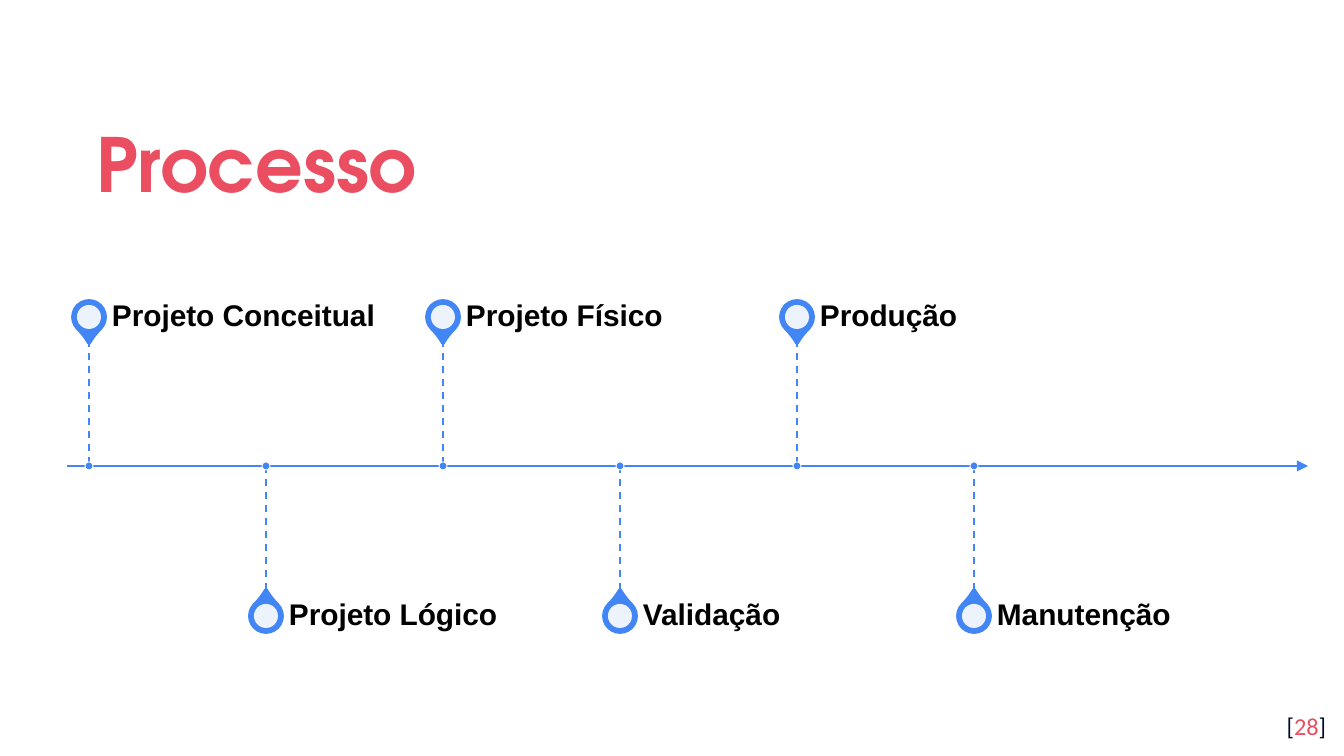
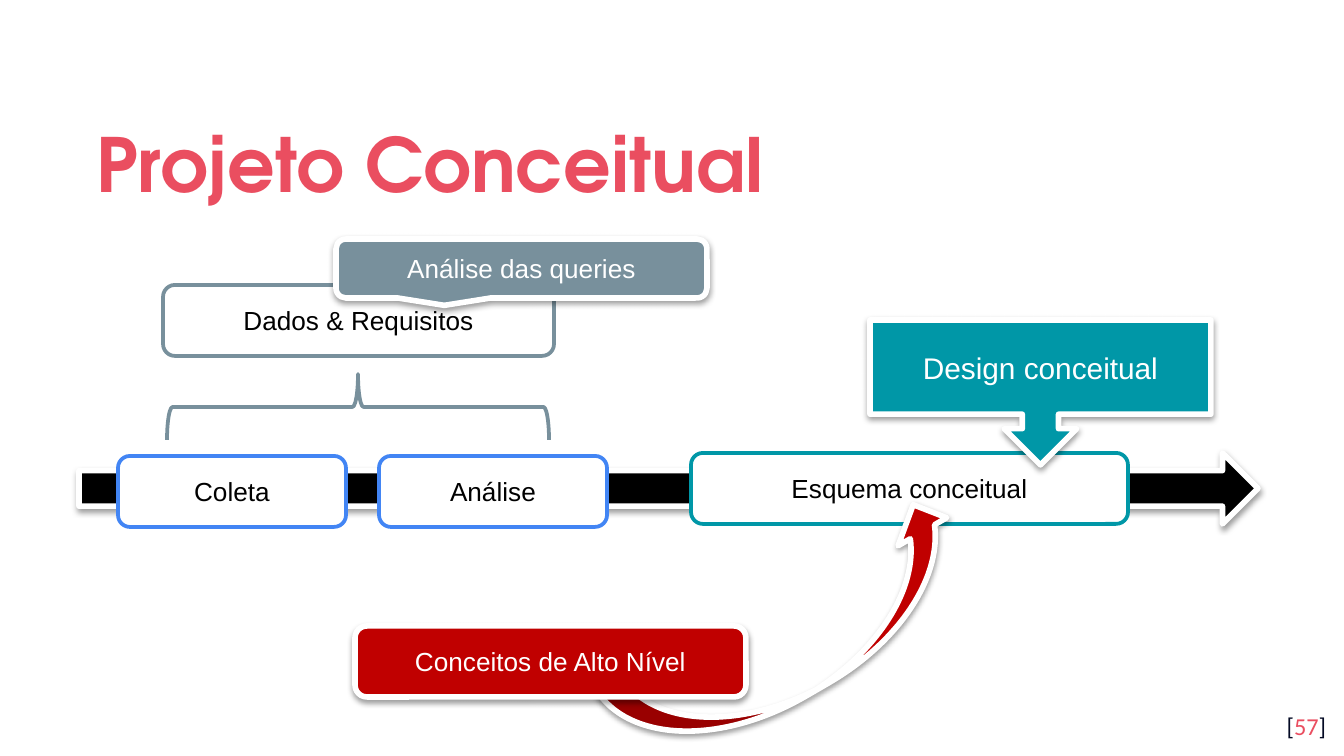
from lxml import etree
from pptx import Presentation
from pptx import util as u
from pptx.dml.color import RGBColor
from pptx.enum import dml, shapes, text
from pptx.oxml.ns import qn

SCALE = 914400 / 134.4  # EMU in one px
RED, INK, BLUE, GREY, TEAL, WINE = "EA4E60", "040A24", "4285F4", "78909C", "0097A7", "C00000"
BLACK, WHITE = "000000", "FFFFFF"
HEAD, BODY, FOOT = "TeX Gyre Adventor", "Arial", "Calibri"
KIND = shapes.MSO_SHAPE
MID = text.MSO_ANCHOR.MIDDLE


# Basic helpers
def px(*vals):
    return [u.Emu(round(v * SCALE)) for v in vals]


def rgb(code):
    return RGBColor.from_string(code)


def put(obj, vals):
    for name, val in vals.items():
        setattr(obj, name, val)


def sub(node, tag, **attrs):
    return etree.SubElement(node, qn(tag), {k: str(v) for k, v in attrs.items()})


def write(par, words, size, font, color, bold=False):
    run = par.add_run()
    run.text = words
    put(run.font, dict(size=u.Pt(size), name=font, bold=bold))
    run.font.color.rgb = rgb(color)


def frame(shape, pads, **vals):
    names = ("margin_left", "margin_top", "margin_right", "margin_bottom")
    put(shape.text_frame, dict(zip(names, px(*pads)), word_wrap=True,
                               auto_size=text.MSO_AUTO_SIZE.NONE, **vals))
    return shape.text_frame.paragraphs[0]


def add(tree, kind, box, fill, line=None, width=2, adj=(), turn=0):
    shape = tree.add_shape(kind, *px(*box))
    shape.shadow.inherit = False
    shape.rotation = turn
    for i, val in enumerate(adj):
        shape.adjustments[i] = val
    shape.fill.solid()
    shape.fill.fore_color.rgb = rgb(fill)
    if line:
        shape.line.color.rgb = rgb(line)
        shape.line.width = u.Pt(width)
    else:
        shape.line.fill.background()
    return shape


def rule(tree, ends, width, dash=None, arrow=False):
    line = tree.add_connector(shapes.MSO_CONNECTOR.STRAIGHT, *px(*ends))
    line.line.color.rgb = rgb(BLUE)
    put(line.line, dict(width=u.Pt(width), dash_style=dash))
    props = line._element.spPr
    if arrow:
        sub(props.find(qn("a:ln")), "a:tailEnd", type="triangle")
    sub(props, "a:effectLst")


# Shared slide parts: title and page number
def page(deck, title, num):
    slide = deck.slides.add_slide(deck.slide_layouts[5])
    head = slide.shapes.title
    put(head, dict(zip(("left", "top", "width", "height"), px(83, 94, 1179, 124))))
    par = frame(head, [13] * 4, vertical_anchor=MID)
    put(par, dict(alignment=text.PP_ALIGN.LEFT, line_spacing=1.15))
    write(par, title, 40, HEAD, RED, True)

    foot = slide.shapes.add_textbox(*px(1258, 698, 81, 58))
    par = frame(foot, [13] * 4)
    par.alignment = text.PP_ALIGN.RIGHT
    for words, color in (("[", INK), (num, RED), ("]", INK)):
        write(par, words, 13, FOOT, color)
    return slide


# Timeline: pins alternate above and below the axis
def stop(tree, x, y, axis, label):
    up = y < axis
    add(tree, KIND.TEAR, (x - 16, y - 16, 32, 32), BLUE, BLUE,
        adj=[1.15], turn=135 if up else 315)
    hole = add(tree, KIND.OVAL, (x - 12, y - 12, 24, 24), WHITE)
    sub(hole._element.spPr.find(".//" + qn("a:srgbClr")), "a:alpha", val=90000)
    note = tree.add_textbox(*px(x + 23, y - 22, 294, 44))
    par = frame(note, (0, 0, 15, 0), vertical_anchor=MID)
    par.line_spacing = 0.9
    write(par, label, 16, BODY, BLACK, True)
    rule(tree, (x, y + 23 if up else axis, x, axis if up else y - 22), 1,
         dml.MSO_LINE.DASH)
    add(tree, KIND.OVAL, (x - 4, axis - 4, 8, 8), BLUE, WHITE, 0.5)


def line_up(slide, box, labels):
    left, top, wide, high = box
    tree = slide.shapes.add_group_shape().shapes
    axis = top + high // 2
    rule(tree, (left, axis, left + wide, axis), 1.5, arrow=True)
    for i, label in enumerate(labels):
        y = top + high - 22 if i % 2 else top + 23
        stop(tree, left + 22 + 177 * i, y, axis, label)


# Flow: steps on a thick arrow, with callouts
def step(tree, box, label, line, kind=KIND.ROUNDED_RECTANGLE, fill=WHITE,
         adj=(0.167,), size=14, turn=0):
    glow = line == WHITE
    shape = add(tree, kind, box, fill, line, 3 if glow else 2, adj, turn)
    if glow:
        cast = sub(shape._element.spPr.find(qn("a:effectLst")), "a:outerShdw",
                   blurRad=40000, dist=20000, dir=5400000, rotWithShape=0)
        sub(sub(cast, "a:srgbClr", val=BLACK), "a:alpha", val=38000)
    if label:
        par = frame(shape, (13, 7, 13, 7), vertical_anchor=MID)
        par.alignment = text.PP_ALIGN.CENTER
        write(par, label, size, BODY, WHITE if glow else BLACK)


def flow(slide, box):
    left, top, wide, _ = box
    tall = 71

    def at(x, y, w, h=tall):
        return left + x, top + y, w, h

    # Main arrow and its steps
    tree = slide.shapes.add_group_shape().shapes
    step(tree, at(0, 214, wide), "", WHITE, KIND.RIGHT_ARROW, BLACK, (0.5, 0.5))
    for x, label in ((39, "Coleta"), (300, "Análise")):
        step(tree, at(x, 217, 228), label, BLUE)
    step(tree, at(246, -23, 66, 382), "", GREY, KIND.LEFT_BRACE,
         adj=(0.083, 0.5), turn=90)
    step(tree, at(84, 46, 391), "Dados & Requisitos", GREY)
    step(tree, at(612, 214, 437), "Esquema conceitual", TEAL)
    step(tree, at(791, 81, 341, 145), "Design conceitual", WHITE,
         KIND.DOWN_ARROW_CALLOUT, TEAL, (0.25, 0.25, 0.25, 0.65), 16)

    # Loose notes over the flow
    tree = slide.shapes
    step(tree, at(518, 343, 395, 112), "", WHITE, KIND.CURVED_UP_ARROW, WINE,
         (0.25, 0.5, 0.25), turn=330)
    step(tree, at(276, 387, 391), "Conceitos de Alto Nível", WHITE, fill=WINE)
    step(tree, at(257, 0, 371, 59), "Análise das queries", WHITE,
         KIND.ROUNDED_RECTANGULAR_CALLOUT, GREY, (-0.208, 0.625, 0.167))


def main():
    deck = Presentation()
    put(deck, dict(zip(("slide_width", "slide_height"), px(1344, 756))))
    line_up(page(deck, "Processo", "28"), (67, 294, 1241, 344),
            ("Projeto Conceitual", "Projeto Lógico", "Projeto Físico",
             "Validação", "Produção", "Manutenção"))
    flow(page(deck, "Projeto Conceitual", "57"), (79, 239, 1179, 460))
    deck.save("out.pptx")


if __name__ == "__main__":
    main()
